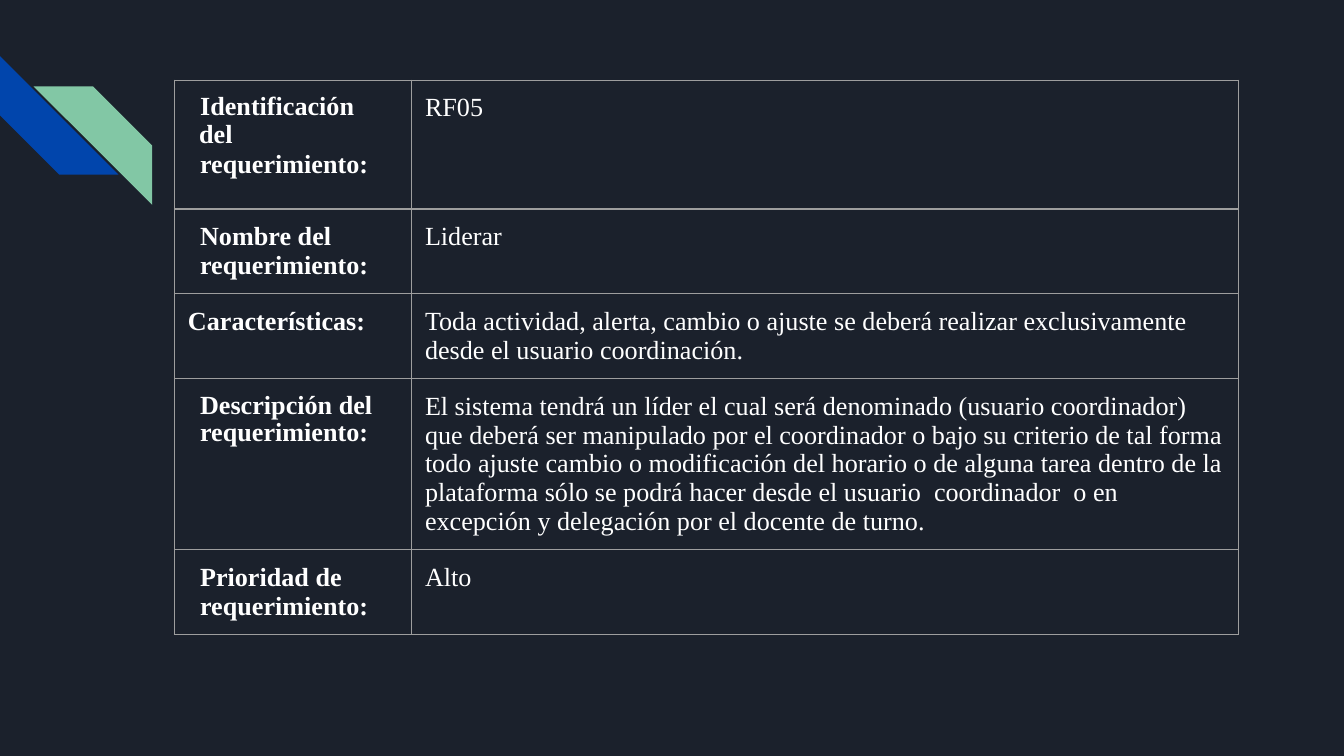
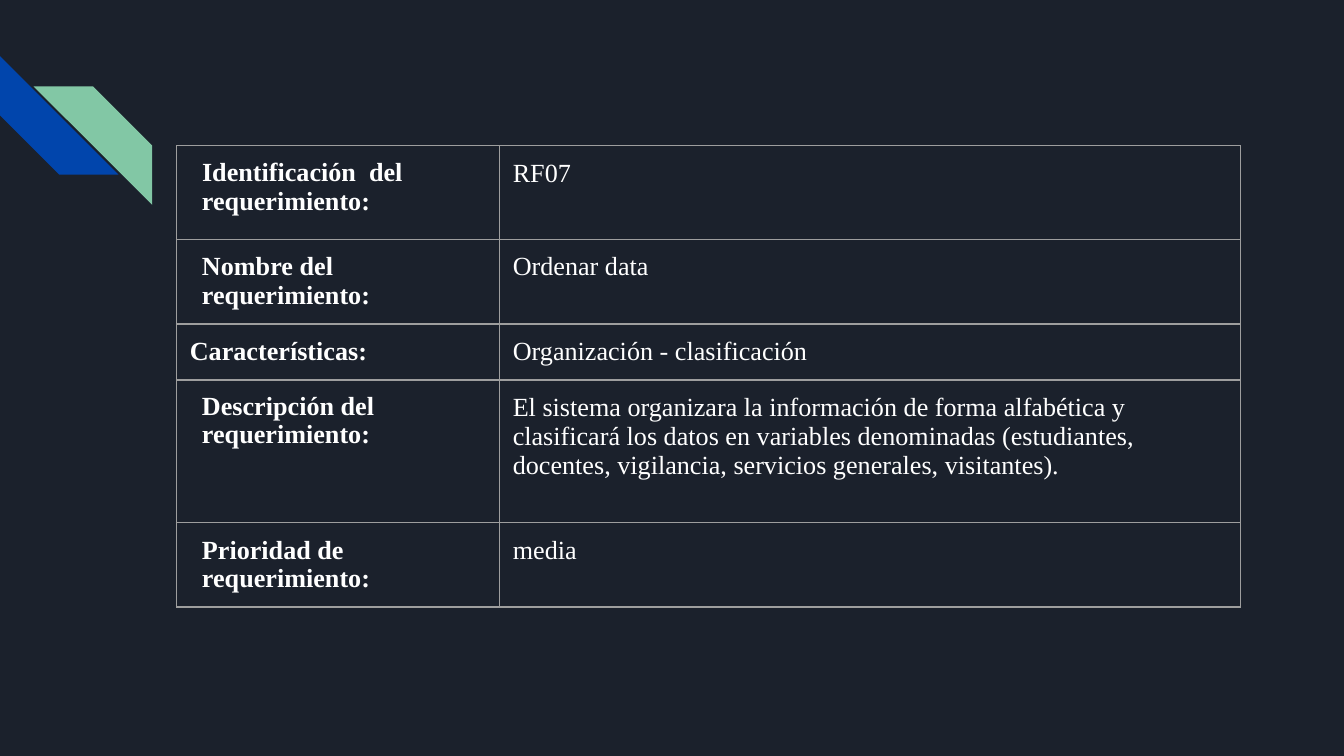
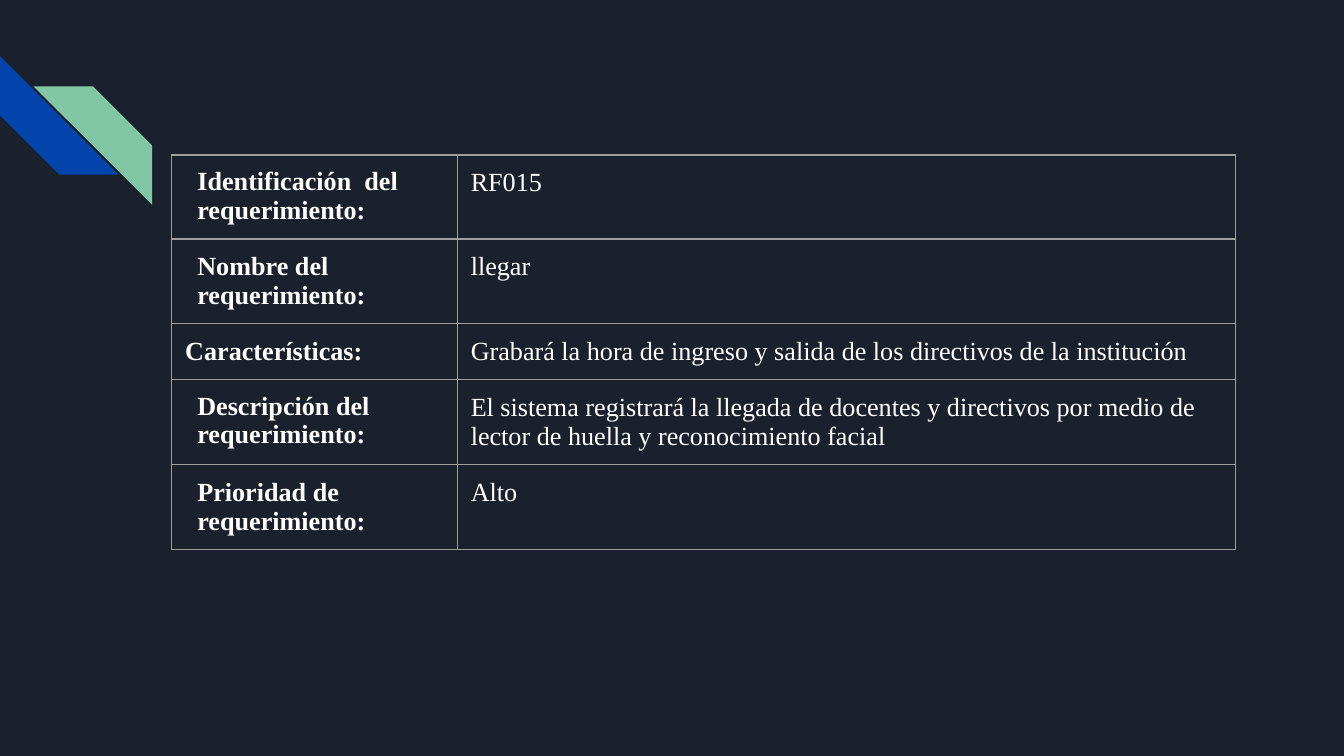
from dataclasses import dataclass

from lxml import etree
from pptx import Presentation
from pptx.dml.color import RGBColor
from pptx.enum.shapes import MSO_SHAPE
from pptx.oxml.ns import qn
from pptx.util import Pt

DIAGONAL_STRIPE = MSO_SHAPE.DIAGONAL_STRIPE

# Shared look
NAVY = RGBColor(0x1B, 0x21, 0x2C)
BLUE = RGBColor(0x01, 0x45, 0xAC)
GREEN = RGBColor(0x82, 0xC7, 0xA5)
GREY = RGBColor(0x9E, 0x9E, 0x9E)
WHITE = RGBColor(0xFF, 0xFF, 0xFF)
FONT = "Times New Roman"
FONT_SIZE = Pt(14)
TABLE_WIDTH = 570
CELL_MARGIN = Pt(7.2)
BORDER_WIDTH = Pt(0.75)
STRIPE_SIZE = Pt(63.5)


@dataclass(frozen=True)
class Stripe:
    left: float
    top: float
    rotation: int
    color: RGBColor


@dataclass(frozen=True)
class Line:
    text: str
    margin: float = 0
    indent: float = 0
    spacing: float | None = None
    before: float = 0


@dataclass(frozen=True)
class Requirement:
    left: float
    top: float
    label_width: float
    row_heights: tuple[float, ...]
    values: tuple[str, ...]


STRIPES = (
    Stripe(0, 30, 270, BLUE),
    Stripe(18, 46.3, 90, GREEN),
)

# Row labels, the same in every table
LABELS = (
    (Line("Identificación  del", 6, 0.5, 0.96), Line("requerimiento:", 6.5, before=0.3)),
    (Line("Nombre del", 6.5), Line("requerimiento:", 6.5)),
    (Line("Características:"),),
    (Line("Descripción del  requerimiento:", 6.5, spacing=0.96),),
    (Line("Prioridad de", 6.5), Line("requerimiento:", 6.5)),
)

REQUIREMENTS = (
    Requirement(93.5, 43, 127, (69, 45.3, 45.3, 91.8, 45.3), (
        "RF05",
        "Liderar",
        "Toda actividad, alerta, cambio o ajuste se deberá realizar exclusivamente "
        "desde el usuario coordinación.",
        "El sistema tendrá un líder el cual será denominado (usuario coordinador) "
        "que deberá ser manipulado por el coordinador o bajo su criterio de tal forma "
        "todo ajuste cambio o modificación del horario o de alguna tarea dentro de la "
        "plataforma sólo se podrá hacer desde el usuario  coordinador  o en "
        "excepción y delegación por el docente de turno.",
        "Alto",
    )),
    Requirement(94.5, 78, 173, (50.2, 45.3, 30, 76.3, 45.3), (
        "RF07",
        "Ordenar data",
        "Organización - clasificación",
        "El sistema organizara la información de forma alfabética y "
        "clasificará los datos en variables denominadas (estudiantes, "
        "docentes, vigilancia, servicios generales, visitantes).",
        "media",
    )),
    Requirement(92, 83, 153, (45, 45.3, 30, 45.3, 45.3), (
        "RF015",
        "llegar",
        "Grabará la hora de ingreso y salida de los directivos de la institución",
        "El sistema registrará la llegada de docentes y directivos por medio de "
        "lector de huella y reconocimiento facial",
        "Alto",
    )),
)


def add_stripe(page, stripe: Stripe) -> None:
    shape = page.shapes.add_shape(
        DIAGONAL_STRIPE, Pt(stripe.left), Pt(stripe.top), STRIPE_SIZE, STRIPE_SIZE)
    shape.rotation = stripe.rotation
    shape.shadow.inherit = False
    shape.fill.solid()
    shape.fill.fore_color.rgb = stripe.color
    shape.line.fill.background()


def style_cell(cell) -> None:
    """Give the cell thin grey borders, even margins and no fill."""
    properties = cell._tc.get_or_add_tcPr()
    for side in ("a:lnL", "a:lnR", "a:lnT", "a:lnB"):
        border = etree.SubElement(properties, qn(side), w=str(BORDER_WIDTH))
        fill = etree.SubElement(border, qn("a:solidFill"))
        etree.SubElement(fill, qn("a:srgbClr"), val=str(GREY))
    cell.fill.background()
    cell.margin_left = cell.margin_right = CELL_MARGIN
    cell.margin_top = cell.margin_bottom = CELL_MARGIN


def fill_cell(cell, lines: tuple[Line, ...], bold: bool) -> None:
    style_cell(cell)
    frame = cell.text_frame
    for number, line in enumerate(lines):
        para = frame.add_paragraph() if number else frame.paragraphs[0]
        para.text = line.text
        properties = para._p.get_or_add_pPr()
        properties.set("marL", str(Pt(line.margin)))
        properties.set("indent", str(Pt(line.indent)))
        if line.spacing:
            para.line_spacing = line.spacing
        if line.before:
            para.space_before = Pt(line.before)
        para.font.name = FONT
        para.font.size = FONT_SIZE
        para.font.bold = bold
        para.font.color.rgb = WHITE


def add_requirement_table(page, requirement: Requirement) -> None:
    table = page.shapes.add_table(
        len(LABELS), 2, Pt(requirement.left), Pt(requirement.top),
        Pt(TABLE_WIDTH), Pt(sum(requirement.row_heights))).table
    table.first_row = table.horz_banding = False
    table.columns[0].width = Pt(requirement.label_width)
    table.columns[1].width = Pt(TABLE_WIDTH - requirement.label_width)
    rows = zip(LABELS, requirement.values, requirement.row_heights)
    for number, (label, value, height) in enumerate(rows):
        table.rows[number].height = Pt(height)
        fill_cell(table.cell(number, 0), label, bold=True)
        fill_cell(table.cell(number, 1), (Line(value),), bold=False)


def main() -> None:
    deck = Presentation()
    deck.slide_width, deck.slide_height = Pt(720), Pt(405)
    background = deck.slide_master.background.fill
    background.solid()
    background.fore_color.rgb = NAVY

    # One page per requirement
    for requirement in REQUIREMENTS:
        page = deck.slides.add_slide(deck.slide_layouts[6])
        for stripe in STRIPES:
            add_stripe(page, stripe)
        add_requirement_table(page, requirement)
    deck.save("out.pptx")


if __name__ == "__main__":
    main()
